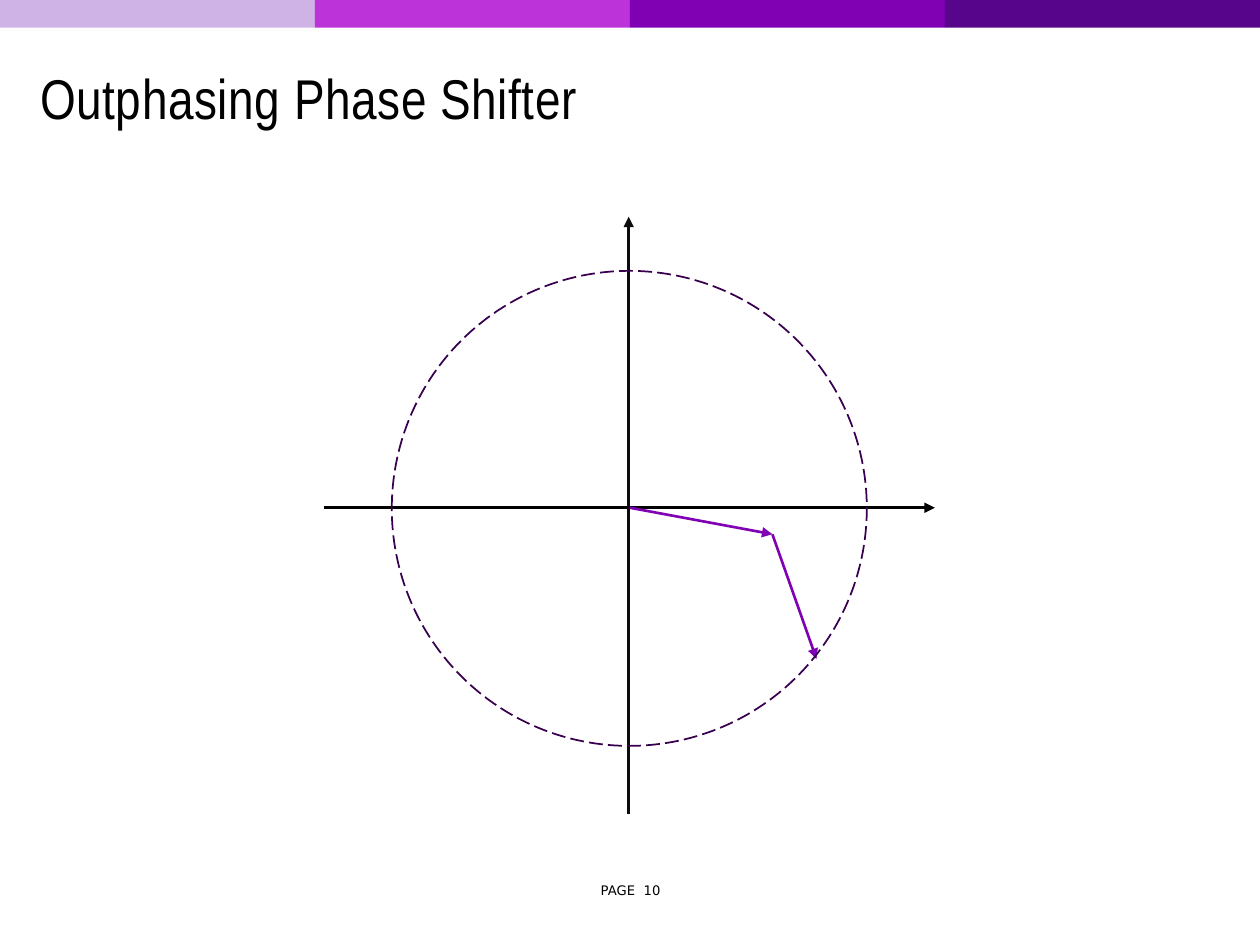
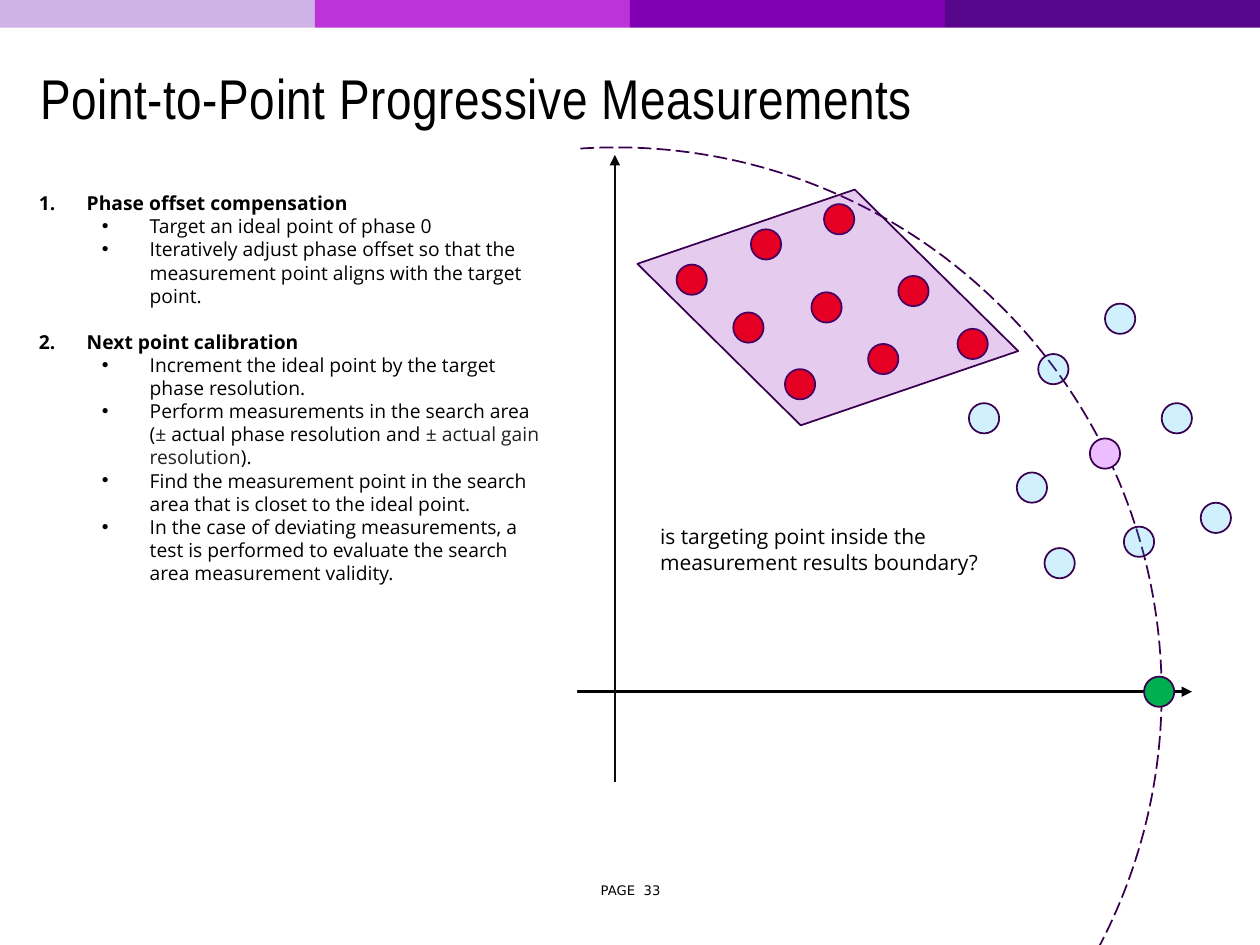
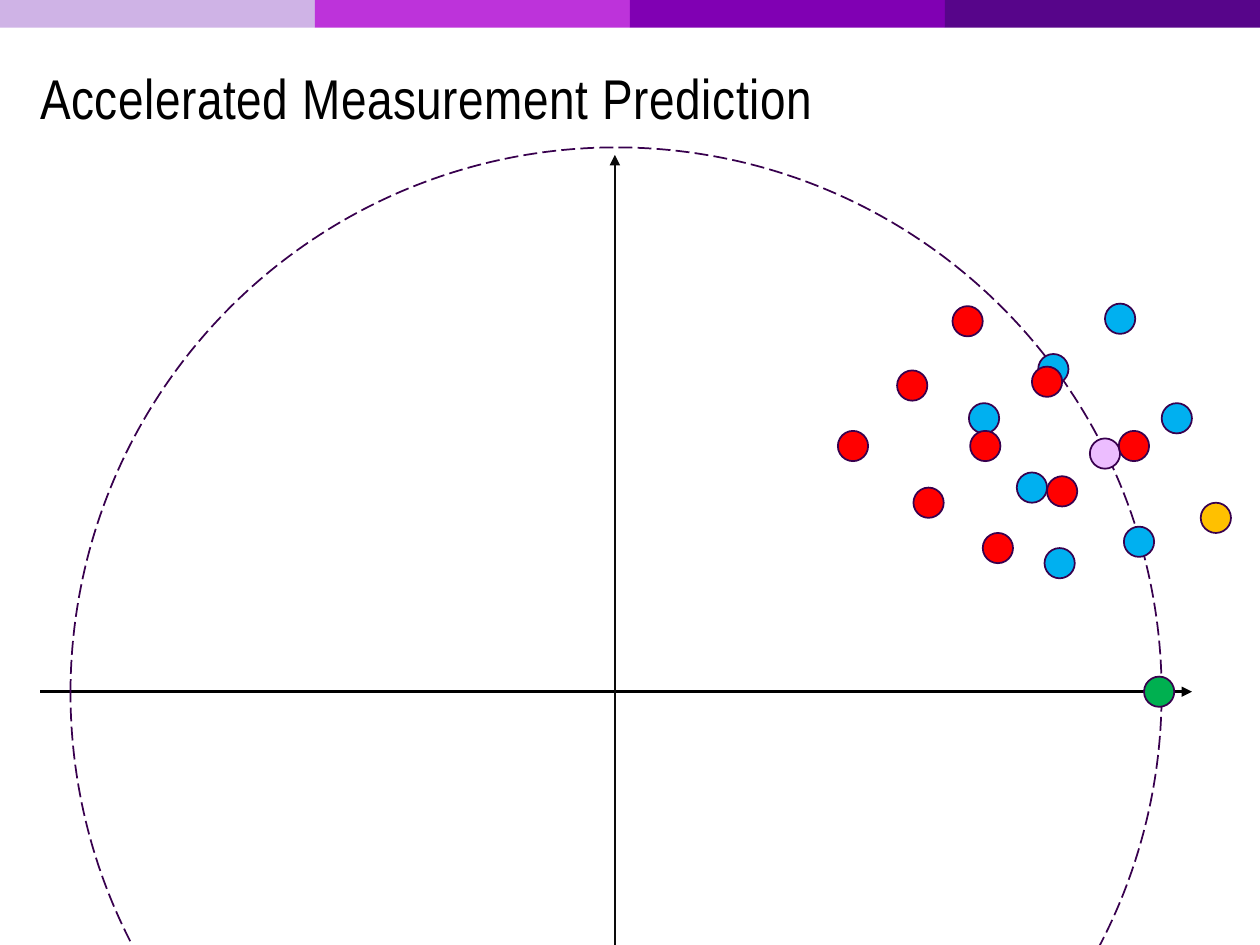
from dataclasses import dataclass

from lxml.etree import SubElement
from pptx import Presentation
from pptx.dml.color import RGBColor
from pptx.enum.dml import MSO_LINE
from pptx.enum.shapes import MSO_CONNECTOR, MSO_SHAPE
from pptx.enum.text import MSO_ANCHOR, PP_ALIGN
from pptx.oxml.ns import qn
from pptx.util import Inches, Pt


@dataclass(frozen=True)
class Theme:
    bands: tuple = ("CFB3E6", "BD33DA", "8000B3", "57058A")
    text: str = "000000"
    soft: str = "202122"
    white: str = "FFFFFF"
    across: str = "000000"
    up: str = "0C0C0C"
    vector: str = "8000B3"
    edge: str = "38004E"
    green: str = "00B050"
    pink: str = "ECBDFF"
    blue: str = "00B0F0"
    red: str = "FF0000"
    amber: str = "FFC000"
    head: str = "Arial Narrow"
    body: str = "Open Sans"
    foot: str = "DejaVu Sans"
    title: float = 32
    ask: float = 12
    note: float = 11
    page: float = 7.5
    thick: float = 1.5
    thin: float = 1


T = Theme()
WIDE, HIGH = 10, 7.5
DOT = 0.24

# Content. Points are (x, y) in inches; dots are given by their top left corner.
TITLES = (
    "Outphasing Phase Shifter",
    "Point-to-Point Progressive Measurements",
    "Accelerated Measurement Prediction",
)
VECTORS = ((5, 4.03), (6.13, 4.24), (6.48, 5.23))
START, TARGET = (9.08, 5.37), (8.65, 3.48)
AREA = [(7.69, 3.2), (8.92, 4.18), (8.29, 4.35), (8.07, 3.75),
        (8.24, 2.81), (8.77, 2.41), (9.22, 3.2)]
OUTER = (9.53, 3.99)
RESULTS = [(6.23, 2.93), (5.82, 2.48), (5.37, 2.1), (6.89, 2.73), (6.44, 2.32),
           (5.96, 1.82), (7.13, 2.19), (7.6, 2.61), (6.54, 1.62)]
GUESSES = [(6.65, 3.42), (7.12, 2.94), (7.56, 2.43), (7.25, 3.87), (7.7, 3.42),
           (8.19, 2.91), (7.8, 4.23), (8.31, 3.78), (8.88, 3.42)]
QUESTION = "is targeting point inside the measurement results boundary?"
# Each step is (heading, points); a point is a list of parts, every second one soft.
STEPS = [
    ("Phase offset compensation", [
        ["Target an ideal point of phase 0"],
        ["Iteratively adjust phase offset so that the measurement point "
         "aligns with the target point."],
    ]),
    ("Next point calibration", [
        ["Increment the ideal point by the target phase resolution."],
        ["Perform measurements in the search area (", "±",
         " actual phase resolution and ", "± actual gain resolution", ")."],
        ["Find the measurement point in the search area that is closet to "
         "the ideal point."],
        ["In the case of deviating measurements, a test is performed to "
         "evaluate the search area measurement validity."],
    ]),
]


def rgb(code):
    return RGBColor.from_string(code)


def draw(slide, kind, box, fill=None, edge=None, alpha=None):
    """Add a preset shape; alpha is the fill's opacity in percent."""
    shape = slide.shapes.add_shape(kind, *map(Inches, box))
    shape.shadow.inherit = False
    if fill:
        shape.fill.solid()
        shape.fill.fore_color.rgb = rgb(fill)
        if alpha:
            tint = shape._element.spPr.find(".//" + qn("a:srgbClr"))
            SubElement(tint, qn("a:alpha"), val=str(alpha * 1000))
    else:
        shape.fill.background()
    if edge:
        shape.line.color.rgb = rgb(edge)
        shape.line.width = Pt(T.thin)
    else:
        shape.line.fill.background()
    return shape


def arrow(slide, start, end, color):
    ends = map(Inches, (*start, *end))
    line = slide.shapes.add_connector(MSO_CONNECTOR.STRAIGHT, *ends)
    line.line.color.rgb = rgb(color)
    line.line.width = Pt(T.thick)
    props = line._element.spPr
    SubElement(props.find(qn("a:ln")), qn("a:tailEnd"), type="triangle")
    SubElement(props, qn("a:effectLst"))


def axes(slide, center, left, right, top, bottom):
    x, y = center
    arrow(slide, (left, y), (right, y), T.across)
    arrow(slide, (x, bottom), (x, top), T.up)


def ring(slide, left, top, size):
    shape = draw(slide, MSO_SHAPE.OVAL, (left, top, size, size), edge=T.edge)
    shape.line.dash_style = MSO_LINE.LONG_DASH


def dots(slide, spots, color, alpha=None):
    for x, y in spots:
        draw(slide, MSO_SHAPE.OVAL, (x, y, DOT, DOT), color, T.edge, alpha)


def style(run, font, size, color=T.text, bold=False):
    run.font.name = font
    run.font.size = Pt(size)
    run.font.bold = bold
    run.font.color.rgb = rgb(color)


def frame(slide, box, anchor=MSO_ANCHOR.TOP):
    text = slide.shapes.add_textbox(*map(Inches, box)).text_frame
    text.word_wrap = True
    text.vertical_anchor = anchor
    return text


def label(slide, box, words, font, size, anchor=MSO_ANCHOR.TOP):
    """Add a box of one paragraph and return that paragraph."""
    text = frame(slide, box, anchor)
    text.text = words
    para = text.paragraphs[0]
    style(para.runs[0], font, size)
    return para


def mark(para, left, tag, **attrs):
    """Give the paragraph a hanging bullet or number."""
    props = para._p.get_or_add_pPr()
    props.set("marL", str(Inches(left)))
    props.set("indent", str(Inches(-0.38)))
    if tag == "a:buChar":
        SubElement(props, qn("a:buFont"), typeface="Arial")
    SubElement(props, qn(tag), **attrs)


def steps(slide, box):
    text = frame(slide, box)
    for num, (head, points) in enumerate(STEPS, 1):
        para = text.paragraphs[0] if num == 1 else text.add_paragraph()
        para.text = head
        mark(para, 0.38, "a:buAutoNum", type="arabicPeriod", startAt=str(num))
        if num > 1:
            para.space_before = Pt(13.2)
        style(para.runs[0], T.body, T.note, bold=True)
        for parts in points:
            para = text.add_paragraph()
            para.level = 1
            mark(para, 0.88, "a:buChar", char="•")
            for spot, part in enumerate(parts):
                run = para.add_run()
                run.text = part
                style(run, T.body, T.note, T.soft if spot % 2 else T.text)


def base(deck, title, page=None):
    """Add a slide with the bands, the title and the page number."""
    slide = deck.slides.add_slide(deck.slide_layouts[6])
    step = WIDE / len(T.bands)
    for spot, color in enumerate(T.bands):
        draw(slide, MSO_SHAPE.RECTANGLE, (spot * step, 0, step, 0.22), color)
    if page:
        para = label(slide, (4.59, 6.93, 0.83, 0.27), f"PAGE  {page}",
                     T.foot, T.page, MSO_ANCHOR.MIDDLE)
        para.alignment = PP_ALIGN.CENTER
    para = label(slide, (0.22, 0.32, 9.49, 0.98), title,
                 T.head, T.title, MSO_ANCHOR.MIDDLE)
    para.line_spacing = 0.85
    para.runs[0].font._element.set("spc", "35")
    return slide


def plane(slide, left, bottom):
    """Draw the large ring with its axes, start and target."""
    axes(slide, (4.88, 5.49), left, 9.46, 1.23, bottom)
    ring(slide, 0.56, 1.17, 8.66)
    dots(slide, [START], T.green)
    dots(slide, [TARGET], T.pink)


def shifter(deck):
    slide = base(deck, TITLES[0], 10)
    axes(slide, (4.99, 4.03), 2.57, 7.42, 1.72, 6.46)
    for start, end in zip(VECTORS, VECTORS[1:]):
        arrow(slide, start, end, T.vector)
    ring(slide, 3.11, 2.15, 3.77)


def progress(deck):
    slide = base(deck, TITLES[1], 33)
    plane(slide, 4.25, 6.21)
    dots(slide, AREA + [OUTER], T.blue, 19)
    draw(slide, MSO_SHAPE.RECTANGLE, (0.23, 1.06, 4.35, 6.44), T.white)
    steps(slide, (0.21, 1.47, 4.21, 3.25))
    dots(slide, RESULTS, T.red)
    para = label(slide, (4.64, 4.11, 3.41, 0.5), QUESTION, T.body, T.ask)
    para._p.get_or_add_pPr().set("marL", str(Inches(0.5)))
    bound = draw(slide, MSO_SHAPE.FLOWCHART_DECISION, (5.02, 1.48, 3.1, 1.92),
                 T.vector, T.edge, 20)
    bound.rotation = 12.9


def predict(deck):
    slide = base(deck, TITLES[2])
    plane(slide, 0.32, 7.75)
    dots(slide, AREA, T.blue)
    dots(slide, [OUTER], T.amber)
    dots(slide, GUESSES, T.red)


def main():
    deck = Presentation()
    deck.slide_width, deck.slide_height = Inches(WIDE), Inches(HIGH)
    for build in (shifter, progress, predict):
        build(deck)
    deck.save("out.pptx")


if __name__ == "__main__":
    main()
